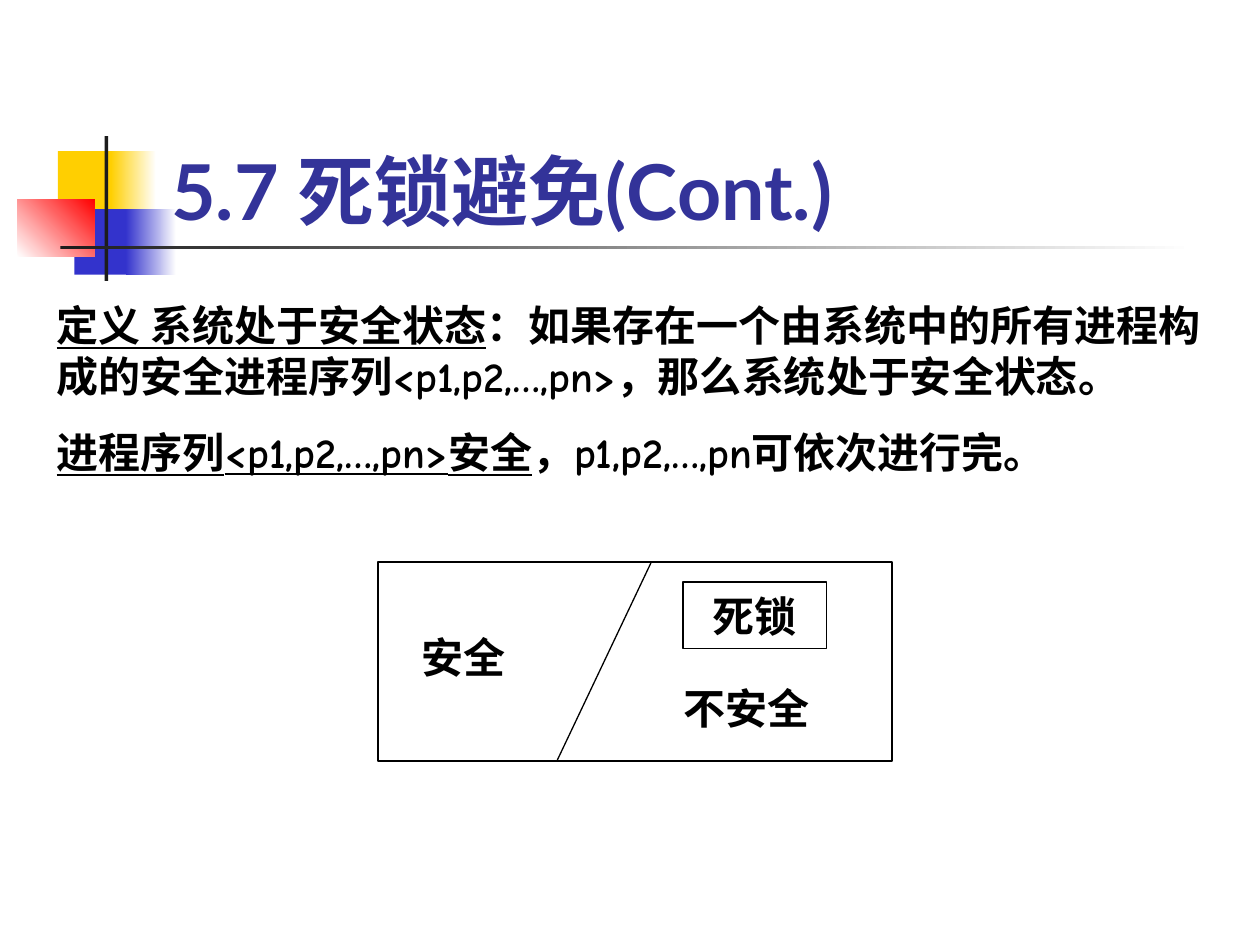
"""Build the slide on deadlock avoidance and safe states."""
from typing import NamedTuple, Optional

from lxml.etree import SubElement
from pptx import Presentation
from pptx.dml.color import RGBColor as Rgb
from pptx.enum.shapes import MSO_CONNECTOR as Link, MSO_SHAPE as Kind
from pptx.enum.text import MSO_ANCHOR as Anchor, PP_ALIGN as Align
from pptx.oxml.ns import qn
from pptx.util import Emu, Pt

PX = 9144
GOLD = Rgb(0xFF, 0xCF, 0x01)
BLUE = Rgb(0x33, 0x33, 0xCC)
RED = Rgb(0xFF, 0x00, 0x00)
DARK = Rgb(0x1C, 0x1C, 0x1C)
NAVY = Rgb(0x33, 0x33, 0x99)
BLACK = Rgb(0x00, 0x00, 0x00)
WHITE = Rgb(0xFF, 0xFF, 0xFF)


class Box(NamedTuple):
    left: int
    top: int
    wide: int
    high: int


class Block(NamedTuple):
    box: Box
    fill: Rgb
    end: Optional[Rgb] = None
    angle: int = 0


class Run(NamedTuple):
    text: str
    under: bool = False


class Style(NamedTuple):
    font: str
    size: int = 24
    color: Rgb = BLACK


class Label(NamedTuple):
    box: Box
    text: str
    framed: bool = False


DECOR = [
    Block(Box(46, 120, 48, 52), GOLD),
    Block(Box(88, 120, 36, 52), GOLD, WHITE),
    Block(Box(59, 166, 46, 52), BLUE),
    Block(Box(100, 166, 40, 52), BLUE, WHITE),
    Block(Box(14, 158, 61, 46), WHITE, RED, 45),
    Block(Box(83, 108, 3, 115), DARK),
    Block(Box(48, 195, 900, 3), DARK, WHITE),
]
TITLE = [[Run("5.7 死锁避免(Cont.)")]]
BODY = [
    [Run("定义 系统处于安全状态", True),
     Run("：如果存在一个由系统中的所有进程构成的安全进程序列"
         "<p1,p2,…,pn>，那么系统处于安全状态。")],
    [Run("进程序列<p1,p2,…,pn>安全", True),
     Run("，p1,p2,…,pn可依次进行完。")],
]
STATES = Box(300, 446, 408, 158)
LABELS = [
    Label(Box(325, 496, 100, 50), "安全"),
    Label(Box(533, 537, 133, 50), "不安全"),
    Label(Box(542, 462, 114, 53), "死锁", True),
]
HEAD = Style("Lato", 44, NAVY)
PROSE = Style("Comic Neue")
TAG = Style("Times New Roman")


def emu(*spans: int) -> list[Emu]:
    """Turn px lengths into EMU."""
    return [Emu(span * PX) for span in spans]


def draw(shapes, block: Block, framed: bool = False):
    """Draw a plain or gradient rectangle, with a thin frame if asked."""
    shape = shapes.add_shape(Kind.RECTANGLE, *emu(*block.box))
    shape.shadow.inherit = False
    fill = shape.fill
    if block.end is None:
        fill.solid()
        fill.fore_color.rgb = block.fill
    else:
        fill.gradient()
        fill.gradient_angle = block.angle
        for stop, color in zip(fill.gradient_stops, (block.fill, block.end)):
            stop.color.rgb = color
    if framed:
        shape.line.color.rgb = BLACK
        shape.line.width = Pt(0.75)
    else:
        shape.line.fill.background()
    return shape


def write(frame, paras: list[list[Run]], style: Style,
          anchor: Anchor = Anchor.TOP, align: Align = Align.LEFT,
          wrap: bool = True) -> None:
    """Fill a text frame run by run."""
    frame.word_wrap = wrap
    frame.vertical_anchor = anchor
    for i, runs in enumerate(paras):
        para = frame.add_paragraph() if i else frame.paragraphs[0]
        para.alignment = align
        if i:
            para.space_before = Pt(15)
        for item in runs:
            run = para.add_run()
            run.text = item.text
            font = run.font
            font.name, font.size, font.bold = style.font, Pt(style.size), True
            font.underline = item.under
            font.color.rgb = style.color


def tag(shapes, label: Label) -> None:
    """Draw a state label, centred when it is framed."""
    shape = draw(shapes, Block(label.box, WHITE), label.framed)
    anchor, align = ((Anchor.MIDDLE, Align.CENTER) if label.framed
                     else (Anchor.TOP, Align.LEFT))
    write(shape.text_frame, [[Run(label.text)]], TAG, anchor, align,
          not label.framed)


def split(shapes, *ends: int) -> None:
    """Draw the slanted line between the states."""
    line = shapes.add_connector(Link.STRAIGHT, *emu(*ends))
    line.line.color.rgb = BLACK
    line.line.width = Pt(0.75)
    SubElement(line._element.spPr, qn("a:effectLst"))


def main() -> None:
    """Build and save the slide."""
    deck = Presentation()
    deck.slide_width, deck.slide_height = emu(1000, 750)
    shapes = deck.slides.add_slide(deck.slide_layouts[6]).shapes
    for block in DECOR:
        draw(shapes, block)
    title = shapes.add_textbox(*emu(126, 67, 852, 125))
    write(title.text_frame, TITLE, HEAD, Anchor.BOTTOM)
    body = shapes.add_textbox(*emu(35, 233, 929, 151))
    write(body.text_frame, BODY, PROSE)
    group = shapes.add_group_shape().shapes
    draw(group, Block(STATES, WHITE), True)
    split(group, 517, STATES.top, 442, STATES.top + STATES.high)
    for label in LABELS:
        tag(group, label)
    deck.save("out.pptx")


if __name__ == "__main__":
    main()
